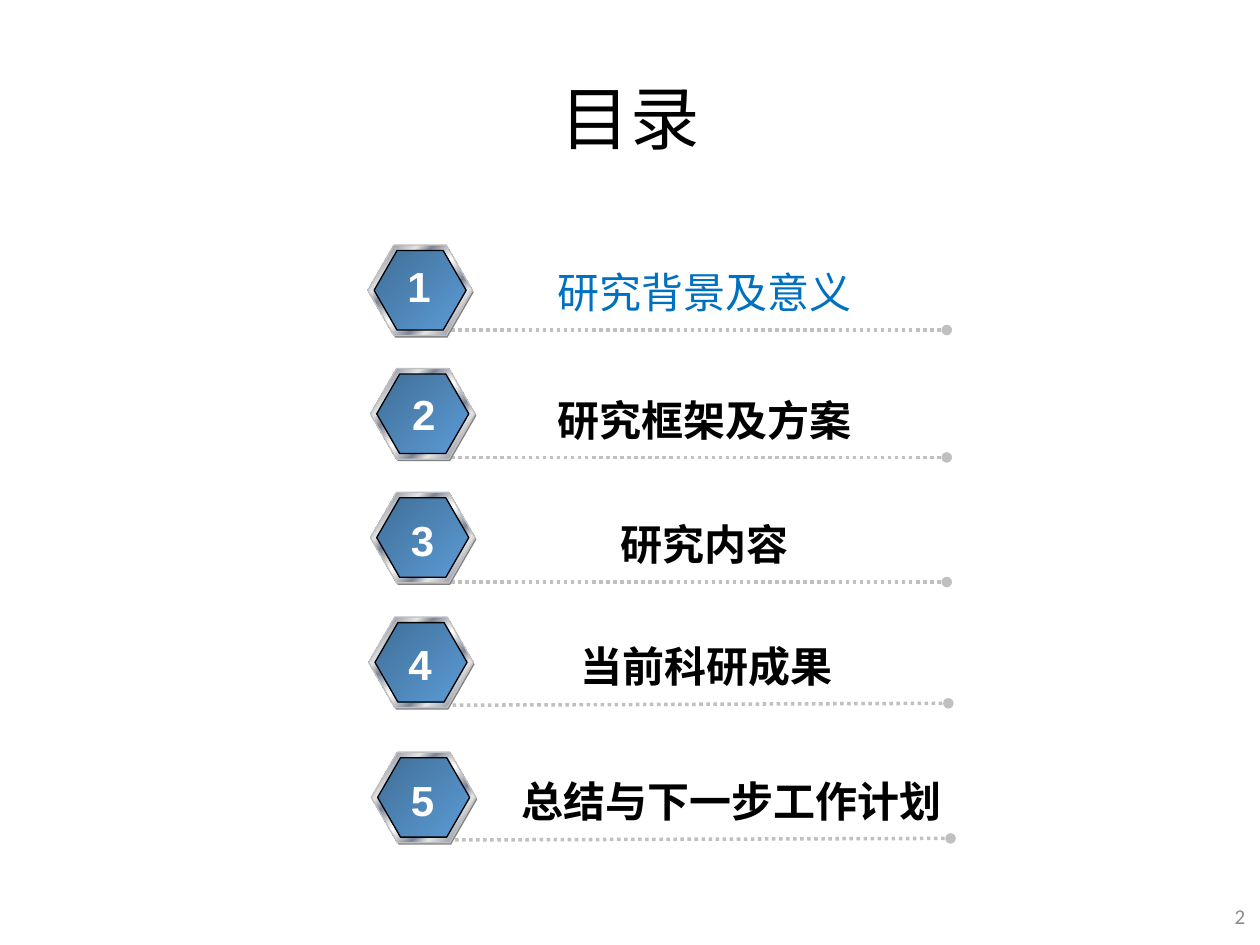
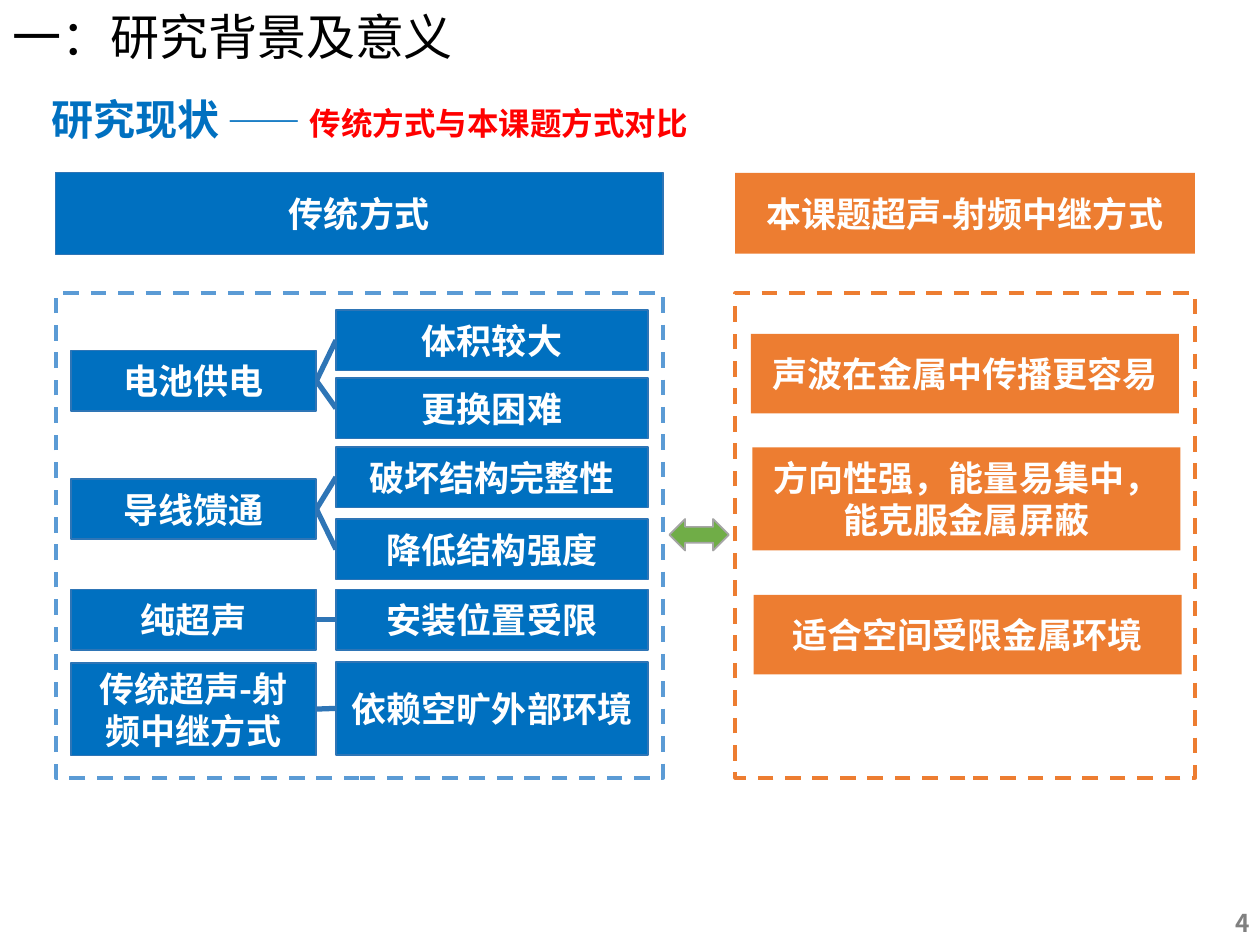
from lxml import etree
from pptx import Presentation
from pptx.dml.color import RGBColor
from pptx.enum.dml import MSO_LINE
from pptx.enum.shapes import MSO_CONNECTOR, MSO_SHAPE
from pptx.enum.text import MSO_ANCHOR as ANCHOR, MSO_AUTO_SIZE, PP_ALIGN as ALIGN
from pptx.oxml.ns import qn
from pptx.util import Pt

# ---------- Content ----------
# text, hexagon (x, y), number (x, y), line start (x, y), line rise, text width
AGENDA = [
    ("研究背景及意义", (210.2, 140), (225.4, 145.4), (257.8, 188.6), 0, 254),
    ("研究框架及方案", (211.7, 210.6), (228.2, 218.5), (257.8, 261.4), 0, 254),
    ("研究内容", (211.7, 281.3), (227.5, 290.2), (257.8, 332.6), 0, 254),
    ("当前科研成果", (210.7, 352.6), (226, 361.4), (258.7, 403), 1.1, 254),
    ("总结与下一步工作计划", (212.2, 429.8), (227.5, 439), (260, 480), 0.9, 280),
]
CURRENT = 0

HEADING = [("研究现状", 24, "blue"), (" —— ", 21, "blue"),
           ("传统方式与本课题方式对比", 18, "red")]
# cause, top, height, effects as (text, top)
TRADITIONAL = [
    ("电池供电", 200.3, 34.6, [("体积较大", 177.1), ("更换困难", 216)]),
    ("导线馈通", 273.6, 34.6, [("破坏结构完整性", 255.4), ("降低结构强度", 296.6)]),
    ("纯超声", 336.8, 34.6, [("安装位置受限", 336.8)]),
    ("传统超声-射频中继方式", 378.7, 53, [("依赖空旷外部环境", 378.3)]),
]
# text, left, top, height
ADVANTAGES = [
    ("声波在金属中传播更容易", 429.1, 190.8, 45.4),
    ("方向性强，能量易集中，能克服金属屏蔽", 430, 255.6, 59),
    ("适合空间受限金属环境", 430.6, 340, 45.4),
]

# ---------- Style ----------
C = {"black": "000000", "white": "FFFFFF", "blue": "0070C0", "edge": "2E75B6",
     "sky": "5B9BD5", "steel": "416F98", "orange": "ED7D31", "red": "FF0000",
     "green": "70AD47", "grey": "A5A5A5", "silver": "C0C0C0", "shade": "808080",
     "page": "8C8C8C", "pale": "E6E6E6", "slate": "7D8496"}
CJK = "Noto Sans CJK SC"
METAL = [(0, "pale"), (8, "slate"), (26, "pale"), (34, "slate"), (46, "pale"),
         (50, "white"), (54, "pale"), (66, "slate"), (74, "pale"),
         (92, "slate"), (100, "pale")]
BLUE_FADE = [(0, "steel"), (100, "sky")]


def rgb(name):
    return RGBColor.from_string(C[name])


def style_run(r, size, color, font=CJK, bold=False):
    f = r.font
    f.size, f.bold, f.name = Pt(size), bold, font
    f.color.rgb = rgb(color)
    ea = etree.SubElement(r._r.get_or_add_rPr(), qn("a:ea"))
    ea.set("typeface", CJK)


def set_text(sp, text, size, color, font=CJK, bold=False, align=ALIGN.CENTER,
             anchor=ANCHOR.TOP, spacing=None):
    tf = sp.text_frame
    tf.text = text
    tf.word_wrap, tf.vertical_anchor = True, anchor
    tf.auto_size = MSO_AUTO_SIZE.NONE
    p = tf.paragraphs[0]
    p.alignment = align
    if spacing:
        p.line_spacing = spacing
    style_run(p.runs[0], size, color, font, bold)
    return tf


def add_text(slide, x, y, w, h, *args, **style):
    sp = slide.shapes.add_textbox(Pt(x), Pt(y), Pt(w), Pt(h))
    return set_text(sp, *args, **style)


def set_title(slide, x, y, w, h, *args, **style):
    sp = slide.shapes.title
    sp.left, sp.top, sp.width, sp.height = Pt(x), Pt(y), Pt(w), Pt(h)
    set_text(sp, *args, **style)


def add_shape(slide, kind, x, y, w, h, fill=None, line=None, width=1):
    sp = slide.shapes.add_shape(kind, Pt(x), Pt(y), Pt(w), Pt(h))
    sp.shadow.inherit = False
    if fill:
        sp.fill.solid()
        sp.fill.fore_color.rgb = rgb(fill)
    else:
        sp.fill.background()
    if line:
        sp.line.color.rgb, sp.line.width = rgb(line), Pt(width)
    else:
        sp.line.fill.background()
    return sp


def add_box(slide, text, x, y, w, h, fill, line=None, font=CJK):
    sp = add_shape(slide, MSO_SHAPE.RECTANGLE, x, y, w, h, fill, line)
    set_text(sp, text, 20, "white", font, True, anchor=ANCHOR.MIDDLE)


def add_line(slide, x1, y1, x2, y2, color, width):
    ln = slide.shapes.add_connector(MSO_CONNECTOR.STRAIGHT,
                                    Pt(x1), Pt(y1), Pt(x2), Pt(y2))
    ln.line.color.rgb, ln.line.width = rgb(color), Pt(width)
    etree.SubElement(ln._element.spPr, qn("a:effectLst"))
    return ln


def set_gradient(sp, stops):
    """Fill a shape with a 45 degree gradient of any number of stops."""
    sp.fill.gradient()
    grad = sp._element.spPr.find(qn("a:gradFill"))
    for child in list(grad):
        grad.remove(child)
    gs_list = etree.SubElement(grad, qn("a:gsLst"))
    for pos, name in stops:
        gs = etree.SubElement(gs_list, qn("a:gs"), pos=str(pos * 1000))
        etree.SubElement(gs, qn("a:srgbClr"), val=C[name])
    etree.SubElement(grad, qn("a:lin"), ang="2700000", scaled="0")


def add_badge(slide, x, y):
    """Metal-rimmed blue hexagon: shade, rim, face."""
    layers = [(0.7, 1.1, 59.8, 51.8, "shade", None, None),
              (0, 0, 59.8, 51.8, "pale", "silver", METAL),
              (3.6, 3.2, 52.6, 45.4, "steel", "black", BLUE_FADE)]
    for dx, dy, w, h, fill, line, stops in layers:
        sp = add_shape(slide, MSO_SHAPE.HEXAGON, x + dx, y + dy, w, h,
                       fill, line, 0.75)
        sp.adjustments[0] = 0.289
        if stops:
            set_gradient(sp, stops)


def build_agenda(slide):
    set_title(slide, 36, 41, 648, 57, "目录", 39.6, "black", "Calibri",
              anchor=ANCHOR.MIDDLE, spacing=0.9)
    for i, (text, hexagon, number, (x, y), rise, width) in enumerate(AGENDA):
        end = y - rise
        ln = add_line(slide, x, y, x + 283.2, end, "silver", 2)
        ln.line.dash_style = MSO_LINE.ROUND_DOT
        etree.SubElement(ln.line._get_or_add_ln(), qn("a:tailEnd"), type="oval")
        add_badge(slide, *hexagon)
        now = i == CURRENT
        add_text(slide, x + 18, end - 39.6, width, 36, text, 24,
                 "blue" if now else "black", bold=not now)
        tf = add_text(slide, *number, 28, 36, str(i + 1), 24, "white",
                      "Arial", True)
        tf.margin_left = tf.margin_right = 0
    add_text(slide, 556.6, 509, 162, 28.8, "2", 12, "page", "Calibri",
             align=ALIGN.RIGHT, anchor=ANCHOR.MIDDLE)


def build_comparison(slide):
    set_title(slide, 0, 0, 360, 41, "一：研究背景及意义", 28, "black", "Arial",
              align=ALIGN.LEFT)

    # Heading in three runs
    tf = add_text(slide, 22.3, 49.7, 584, 36, HEADING[0][0], *HEADING[0][1:],
                  bold=True, align=ALIGN.LEFT)
    for text, size, color in HEADING[1:]:
        r = tf.paragraphs[0].add_run()
        r.text = text
        style_run(r, size, color, bold=True)

    # Column heads and dashed frames
    add_box(slide, "传统方式", 31.7, 98.6, 347, 46.8, "blue", "edge")
    add_box(slide, "本课题超声-射频中继方式", 420, 98.8, 262.8, 46.2, "orange",
            font="Calibri")
    for x, w, color in [(31.9, 347, "sky"), (420.2, 262.8, "orange")]:
        frame = add_shape(slide, MSO_SHAPE.RECTANGLE, x, 167.6, w, 276.8,
                          line=color, width=2.25)
        frame.line.dash_style = MSO_LINE.DASH
    add_shape(slide, MSO_SHAPE.LEFT_RIGHT_ARROW, 382.5, 296.6, 34, 18,
              "green", "grey")

    # Causes joined to their effects
    cause_x, cause_w, effect_x, effect_w = 40.4, 140.4, 192, 178.4
    for cause, top, h, effects in TRADITIONAL:
        for effect, effect_top in effects:
            add_line(slide, cause_x + cause_w, top + h / 2,
                     effect_x, effect_top + h / 2, "edge", 3)
            add_box(slide, effect, effect_x, effect_top, effect_w, h,
                    "blue", "edge")
        add_box(slide, cause, cause_x, top, cause_w, h, "blue", "edge")

    for text, x, y, h in ADVANTAGES:
        add_box(slide, text, x, y, 244.6, h, "orange", font="Calibri")
    add_text(slide, 553.7, 511.2, 167.8, 28.8, "4", 14, "shade", bold=True,
             align=ALIGN.RIGHT, anchor=ANCHOR.MIDDLE, spacing=1.2)


def main():
    prs = Presentation()
    prs.slide_width, prs.slide_height = Pt(720), Pt(540)
    title_only = prs.slide_layouts[5]
    for build in (build_agenda, build_comparison):
        build(prs.slides.add_slide(title_only))
    prs.save("out.pptx")


if __name__ == "__main__":
    main()
